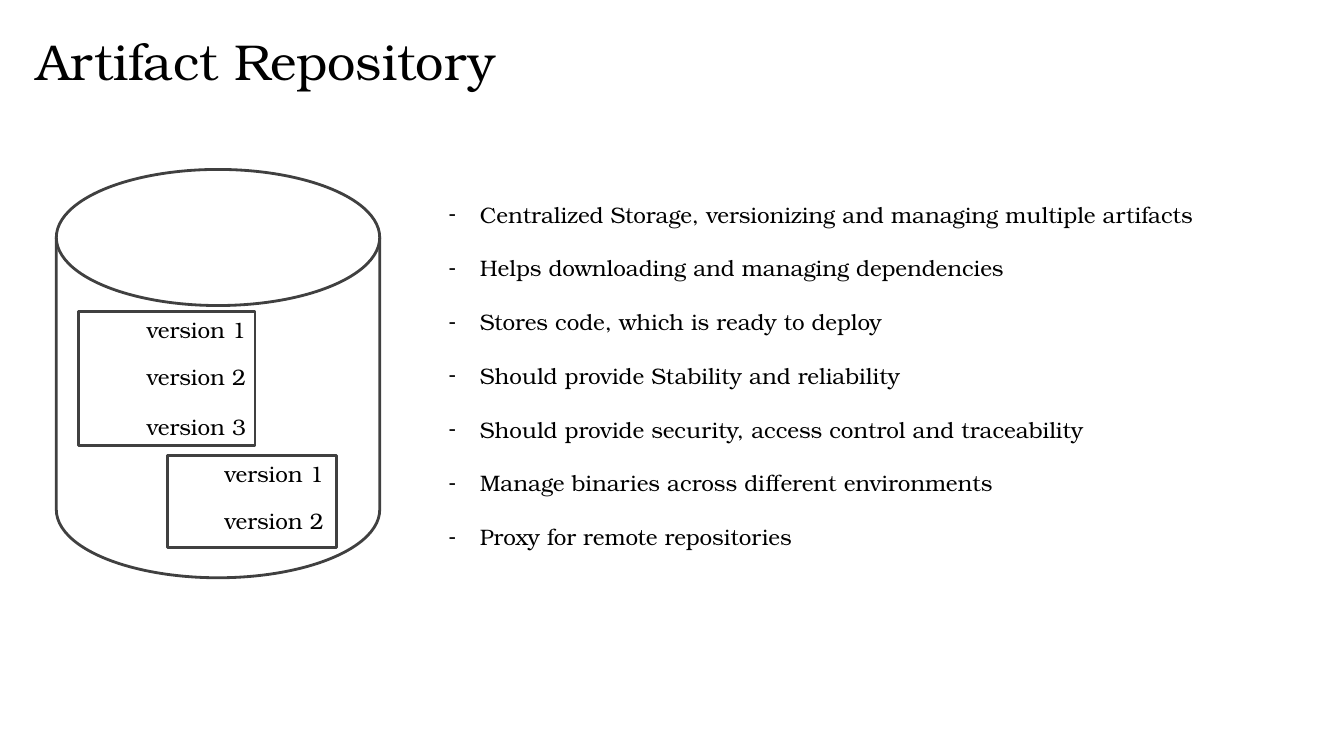
from lxml import etree
from pptx import Presentation
from pptx import util as u
from pptx.dml import color
from pptx.enum import shapes, text
from pptx.oxml import ns

TITLE = "Artifact Repository"
POINTS = [
    "Centralized Storage, versionizing and managing multiple artifacts",
    "Helps downloading and managing dependencies",
    "Stores code, which is ready to deploy",
    "Should provide Stability and reliability",
    "Should provide security, access control and traceability",
    "Manage binaries across different environments",
    "Proxy for remote repositories",
]
ARTIFACTS = [
    {"box": (1.98, 7.85, 4.45, 3.38), "label_left": 3.45,
     "labels": [("version 1", 0), ("version 2", 1.17), ("version 3", 2.44)]},
    {"box": (4.22, 11.48, 4.27, 2.31), "label_left": 5.41,
     "labels": [("version 1", 0), ("version 2", 1.17)]},
]
STORE = (1.42, 4.27, 8.15, 10.29)
TITLE_AREA = (0.66, 0.64, 31.9, 1.8)
POINTS_AREA = (11.05, 4.93, 19.91, 9.6)
LABEL_SIZE = (4.5, 0.94)
INDENT = u.Cm(0.79)
FONT = "TeX Gyre Bonum"
BLACK, GREY = "000000", "404040"
FRAME = {"word_wrap": True, "auto_size": text.MSO_AUTO_SIZE.NONE,
         "vertical_anchor": text.MSO_ANCHOR.TOP}
LEFT = {"alignment": text.PP_ALIGN.LEFT, "space_before": u.Pt(0)}


def rgb(value):
    return color.RGBColor.from_string(value)


def cm(box):
    return [u.Cm(v) for v in box]


def apply(target, values):
    for name, value in values.items():
        setattr(target, name, value)


def place(sp, box):
    apply(sp, dict(zip(("left", "top", "width", "height"), cm(box))))


def write(p, words, size):
    apply(p, LEFT)
    r = p.add_run()
    r.text = words
    apply(r.font, {"name": FONT, "size": u.Pt(size)})
    r.font.color.rgb = rgb(BLACK)


def outline(s, kind, box):
    sp = s.shapes.add_shape(kind, *cm(box))
    sp.shadow.inherit = False
    sp.fill.background()
    sp.line.color.rgb = rgb(GREY)
    sp.line.width = u.Pt(2)


def dash(p):
    pPr = p._p.get_or_add_pPr()
    pPr.set("marL", str(INDENT))
    pPr.set("indent", str(-INDENT))
    etree.SubElement(pPr, ns.qn("a:buChar"), char="-")


def main():
    prs = Presentation()
    apply(prs, {"slide_width": u.Cm(33.87), "slide_height": u.Cm(19.05)})
    s = prs.slides.add_slide(prs.slide_layouts[1])

    title, body = s.shapes.title, s.placeholders[1]
    for sp, box in ((title, TITLE_AREA), (body, POINTS_AREA)):
        place(sp, box)
        apply(sp.text_frame, FRAME)
    write(title.text_frame.paragraphs[0], TITLE, 36)

    tf = body.text_frame
    for i, point in enumerate(POINTS):
        p = tf.add_paragraph() if i else tf.paragraphs[0]
        dash(p)
        write(p, point, 16)
        if i:
            p.space_before = u.Pt(19.2)

    outline(s, shapes.MSO_SHAPE.FLOWCHART_MAGNETIC_DISK, STORE)
    for artifact in ARTIFACTS:
        outline(s, shapes.MSO_SHAPE.RECTANGLE, artifact["box"])
        for words, drop in artifact["labels"]:
            top = artifact["box"][1] + drop
            sp = s.shapes.add_textbox(*cm((artifact["label_left"], top, *LABEL_SIZE)))
            apply(sp.text_frame, FRAME)
            write(sp.text_frame.paragraphs[0], words, 16)

    prs.save("out.pptx")


if __name__ == "__main__":
    main()
